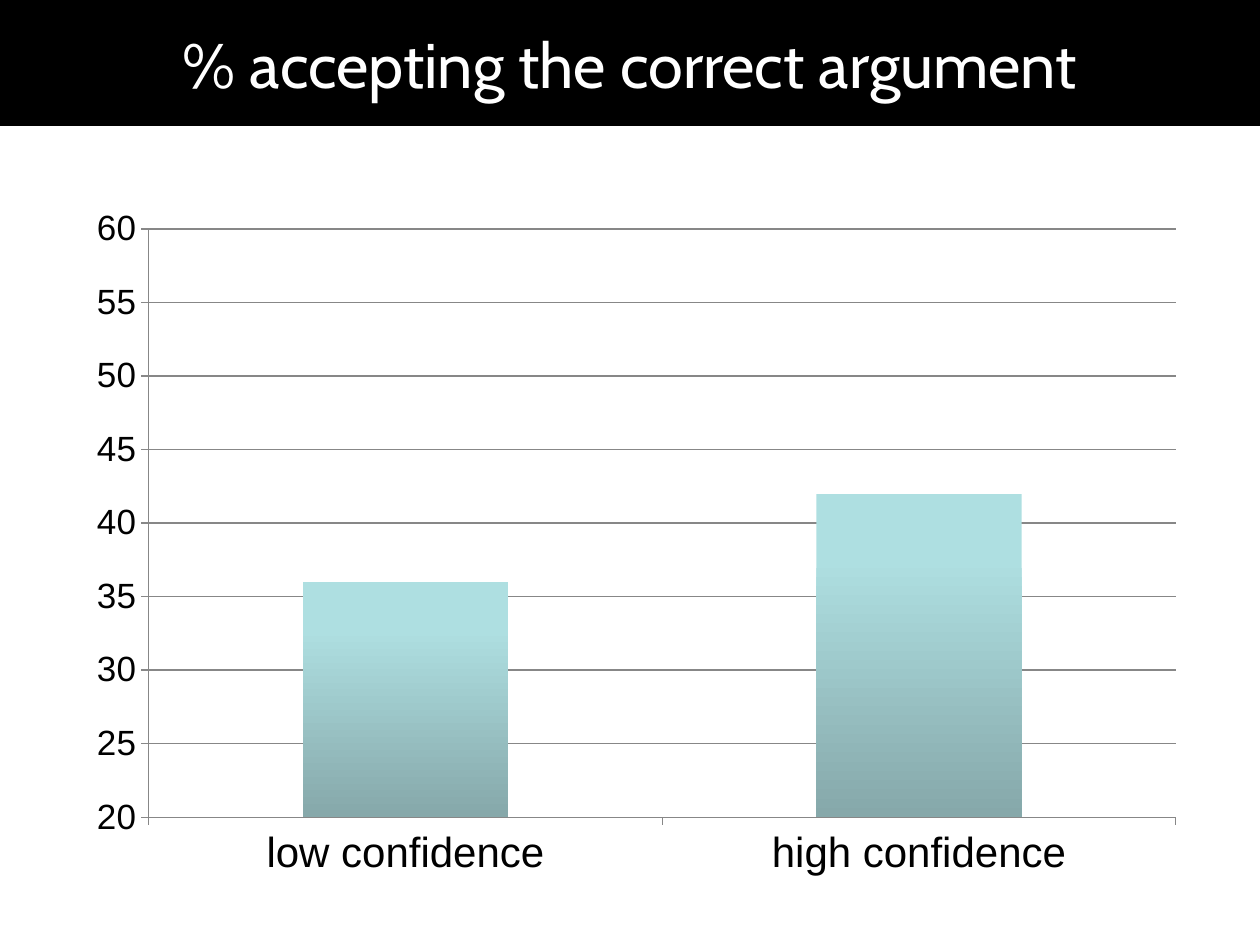
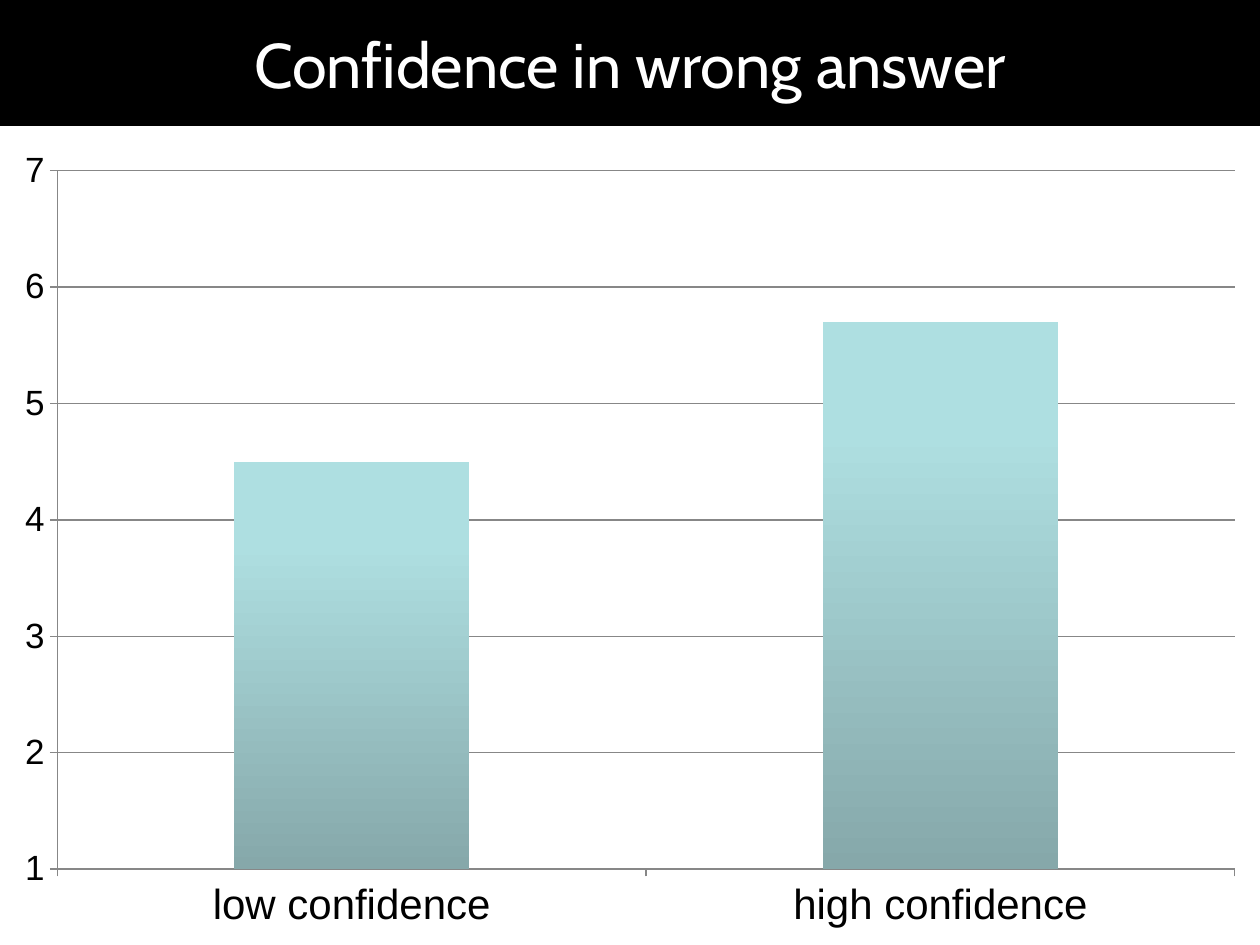
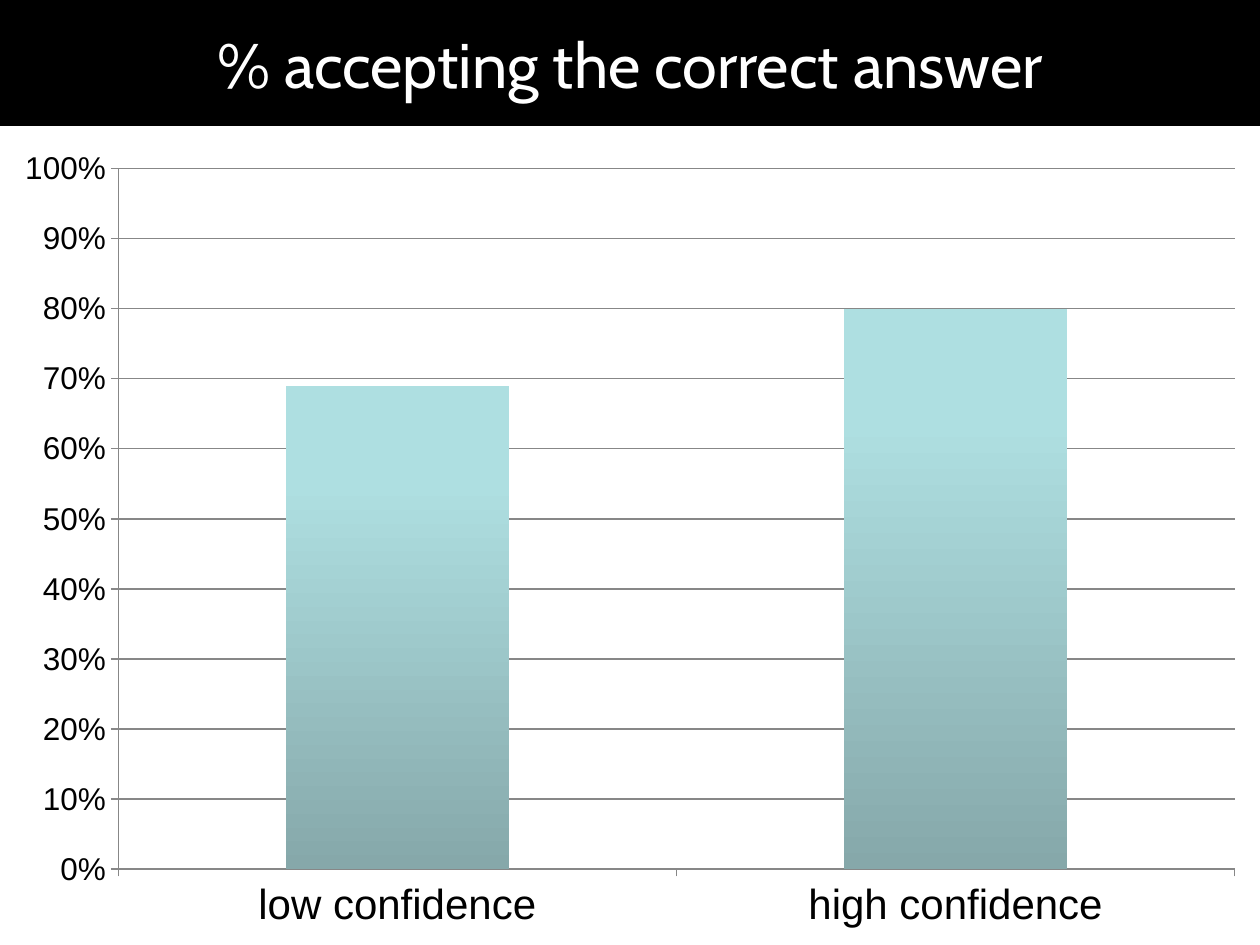
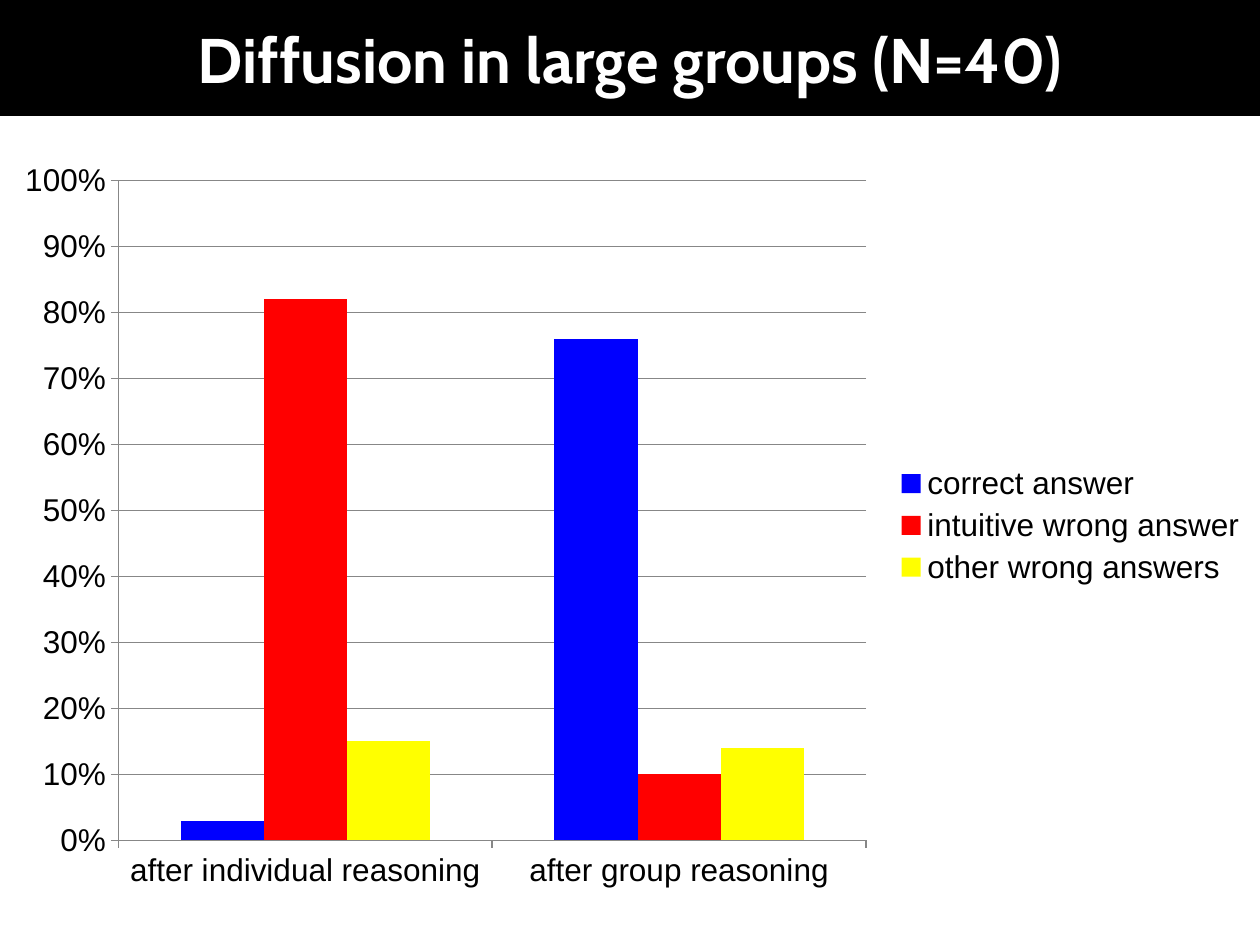
from pptx import Presentation
from pptx.chart.data import CategoryChartData
from pptx.dml.color import RGBColor
from pptx.enum import chart as chart_enum, text
from pptx.util import Inches, Pt

BLACK = RGBColor(0x00, 0x00, 0x00)
WHITE = RGBColor(0xFF, 0xFF, 0xFF)
GRID_GRAY = RGBColor(0x87, 0x87, 0x87)
BAR_LIGHT = RGBColor(0xAE, 0xDF, 0xE1)
BAR_DARK = RGBColor(0x86, 0xA8, 0xAA)
BLUE = RGBColor(0x00, 0x00, 0xFF)
RED = RGBColor(0xFF, 0x00, 0x00)
YELLOW = RGBColor(0xFF, 0xFF, 0x00)
TITLE_FONT = "Cabin"
CHART_FONT = "Arial"
TITLE_ONLY = 5

CONFIDENCE = ["low confidence", "high confidence"]
REASONING = ["after individual reasoning", "after group reasoning"]
FULL_AREA = (0, 1.07, 10, 6.43)

# Content of each slide; a series without a colour gets the shaded bar fill
SLIDES = [
    dict(title="% accepting the correct argument", band=1, bold=False,
         area=(0.59, 1.55, 8.92, 5.52), categories=CONFIDENCE, label_size=24,
         scale=(20, 60, 5), scale_size=20, number_format="General",
         series=[("Series 1", [36, 42], None)]),
    dict(title="Confidence in wrong answer", band=1, bold=False,
         area=FULL_AREA, categories=CONFIDENCE, label_size=24,
         scale=(1, 7, 1), scale_size=20, number_format="General",
         series=[("Series 1", [4.5, 5.7], None)]),
    dict(title="% accepting the correct answer", band=1, bold=False,
         area=FULL_AREA, categories=CONFIDENCE, label_size=24,
         scale=(0, 1, 0.1), scale_size=18, number_format="0%",
         series=[("Series 1", [0.69, 0.8], None)]),
    dict(title="Diffusion in large groups (N=40)", band=0.92, bold=True,
         area=(0, 1.17, 10, 6), categories=REASONING, label_size=18,
         scale=(0, 1, 0.1), scale_size=18, number_format="0%",
         series=[("correct answer", [0.03, 0.76], BLUE),
                 ("intuitive wrong answer", [0.82, 0.1], RED),
                 ("other wrong answers", [0.15, 0.14], YELLOW)]),
]

presentation = Presentation()
presentation.slide_width = Inches(10)
presentation.slide_height = Inches(7.5)

for content in SLIDES:
    slide = presentation.slides.add_slide(presentation.slide_layouts[TITLE_ONLY])

    # Title band
    title = slide.shapes.title
    title.left, title.top = Inches(0), Inches(0)
    title.width, title.height = Inches(10), Inches(content["band"])
    title.fill.solid()
    title.fill.fore_color.rgb = BLACK
    title.text_frame.text = content["title"]
    title.text_frame.vertical_anchor = text.MSO_ANCHOR.MIDDLE
    paragraph = title.text_frame.paragraphs[0]
    paragraph.alignment = text.PP_ALIGN.CENTER
    paragraph.space_before = Pt(7)
    font = paragraph.runs[0].font
    font.name, font.size, font.bold = TITLE_FONT, Pt(36), content["bold"]
    font.color.rgb = WHITE

    # Column chart
    chart_data = CategoryChartData(number_format=content["number_format"])
    chart_data.categories = content["categories"]
    for name, values, color in content["series"]:
        chart_data.add_series(name, values)
    area = [Inches(length) for length in content["area"]]
    chart = slide.shapes.add_chart(
        chart_enum.XL_CHART_TYPE.COLUMN_CLUSTERED, *area, chart_data).chart
    chart.has_title = False
    chart.font.name, chart.font.size = CHART_FONT, Pt(10)
    chart.font.color.rgb = BLACK

    # Bars
    plot = chart.plots[0]
    plot.gap_width, plot.overlap = 150, 0
    plot.vary_by_categories = False
    for series, (name, values, color) in zip(plot.series, content["series"]):
        series.invert_if_negative = False
        fill = series.format.fill
        if color is None:
            fill.gradient()
            fill.gradient_angle = 270
            light, dark = fill.gradient_stops
            light.color.rgb, light.position = BAR_LIGHT, 0.2
            dark.color.rgb, dark.position = BAR_DARK, 1
        else:
            fill.solid()
            fill.fore_color.rgb = color

    # Axes
    value_axis = chart.value_axis
    (value_axis.minimum_scale, value_axis.maximum_scale,
     value_axis.major_unit) = content["scale"]
    value_axis.has_major_gridlines = True
    value_axis.major_gridlines.format.line.color.rgb = GRID_GRAY
    value_axis.tick_labels.number_format = content["number_format"]
    value_axis.tick_labels.number_format_is_linked = False
    for axis, size in ((chart.category_axis, content["label_size"]),
                       (value_axis, content["scale_size"])):
        axis.major_tick_mark = chart_enum.XL_TICK_MARK.OUTSIDE
        axis.format.line.color.rgb = GRID_GRAY
        axis.tick_labels.font.size = Pt(size)

    # Legend, only where several series are compared
    chart.has_legend = len(content["series"]) > 1
    if chart.has_legend:
        chart.legend.position = chart_enum.XL_LEGEND_POSITION.RIGHT
        chart.legend.include_in_layout = False
        chart.legend.font.size = Pt(18)

presentation.save("out.pptx")
